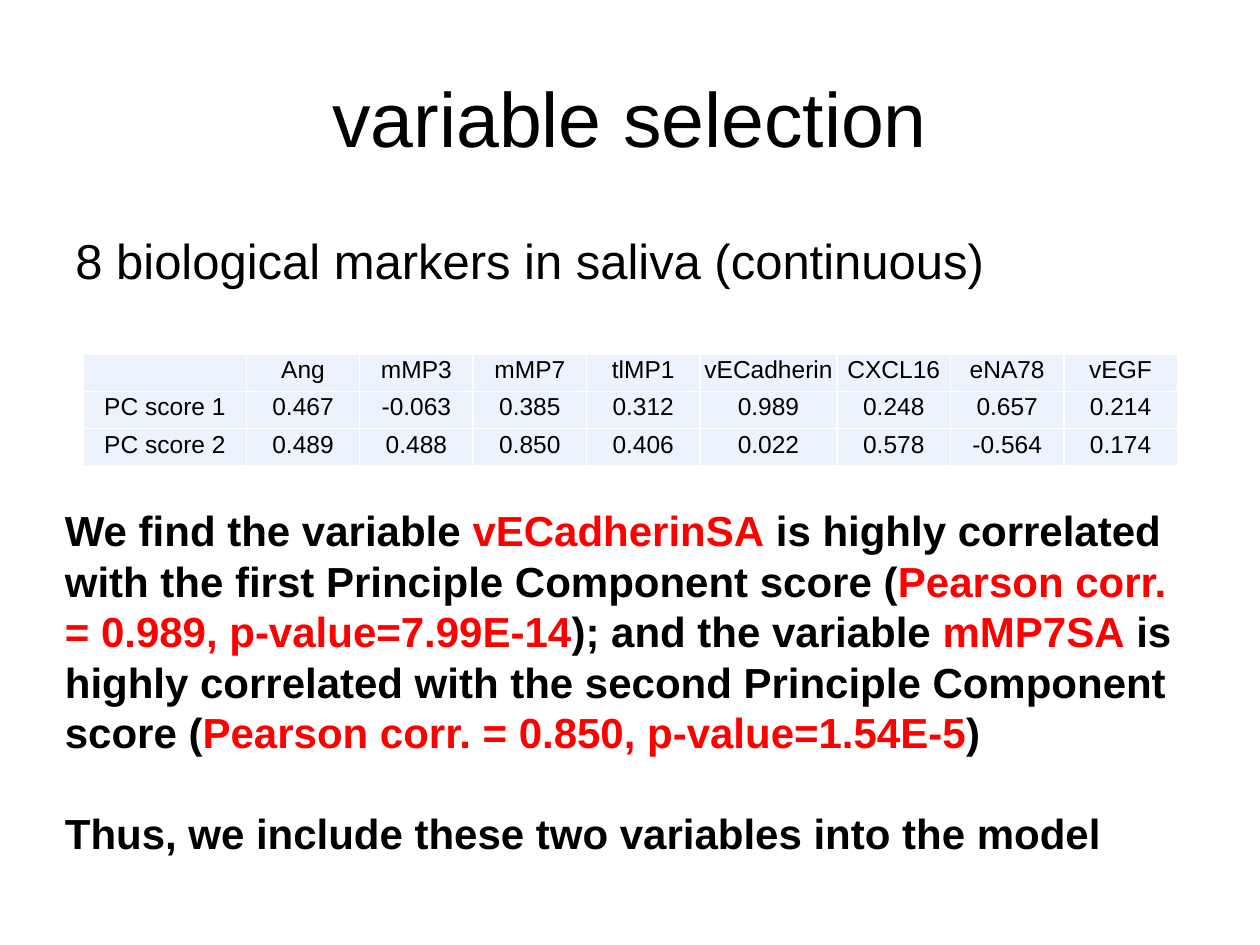
"""Build the variable selection slide with its table of marker correlations."""
from dataclasses import dataclass

from lxml import etree
from pptx import Presentation
from pptx import util as u
from pptx.dml.color import RGBColor
from pptx.enum import text
from pptx.oxml.ns import qn


@dataclass(frozen=True)
class Theme:
    font: str = "Arial"
    ink: str = "000000"
    accent: str = "FF0000"
    cell: str = "ECF3FC"
    border: str = "FFFFFF"
    title: int = 44
    body: int = 28
    finding: int = 24
    table: int = 14


class Deck:
    def __init__(self, prs, theme):
        self.theme = theme
        self.s = prs.slides.add_slide(prs.slide_layouts[6])

    def run(self, p, words, size, color=None, bold=False):
        r = p.add_run()
        r.text = words
        fmt = {"name": self.theme.font, "size": u.Pt(size), "bold": bold}
        for key, value in fmt.items():
            setattr(r.font, key, value)
        r.font.color.rgb = RGBColor.from_string(color or self.theme.ink)

    def textbox(self, box, paragraphs, size, bold=False, gap=0, align=text.PP_ALIGN.LEFT, **frame):
        tf = self.s.shapes.add_textbox(*map(u.Pt, box)).text_frame
        for key, value in {"word_wrap": True, **frame}.items():
            setattr(tf, key, value)
        for i, parts in enumerate(paragraphs):
            p = tf.add_paragraph() if i else tf.paragraphs[0]
            p.alignment = align
            if i:
                p.space_before = u.Pt(gap)
            for words, color in parts:
                self.run(p, words, size, color, bold)

    def borders(self, cell):
        pr = cell._tc.get_or_add_tcPr()
        for i, side in enumerate(("a:lnL", "a:lnR", "a:lnT", "a:lnB")):
            ln = etree.Element(qn(side), w=str(u.Pt(1)))
            fill = etree.SubElement(ln, qn("a:solidFill"))
            etree.SubElement(fill, qn("a:srgbClr"), val=self.theme.border)
            pr.insert(i, ln)

    def cell(self, cell, words):
        fmt = {"margin_left": u.Pt(0.7), "margin_right": u.Pt(0.7), "margin_top": u.Pt(0.7),
               "margin_bottom": u.Pt(3.6), "vertical_anchor": text.MSO_ANCHOR.MIDDLE}
        for key, value in fmt.items():
            setattr(cell, key, value)
        cell.fill.solid()
        cell.fill.fore_color.rgb = RGBColor.from_string(self.theme.cell)
        self.borders(cell)
        p = cell.text_frame.paragraphs[0]
        p.alignment = text.PP_ALIGN.CENTER
        if words:
            self.run(p, words, self.theme.table)
        else:
            etree.SubElement(p._p, qn("a:endParaRPr"), sz=str(self.theme.table * 100))

    def table(self, left, top, widths, row_height, rows):
        size = map(u.Pt, (left, top, sum(widths), row_height * len(rows)))
        tbl = self.s.shapes.add_table(len(rows), len(widths), *size).table
        for col, width in zip(tbl.columns, widths):
            col.width = u.Pt(width)
        for i, row in enumerate(rows):
            tbl.rows[i].height = u.Pt(row_height)
            for j, words in enumerate(row):
                self.cell(tbl.cell(i, j), words)


def main():
    prs = Presentation()
    prs.slide_width, prs.slide_height = u.Pt(720), u.Pt(540)
    theme = Theme()
    deck = Deck(prs, theme)
    ink, accent = theme.ink, theme.accent

    deck.textbox((36, 21.6, 648, 90), [[("variable selection", ink)]], theme.title,
                 align=text.PP_ALIGN.CENTER, vertical_anchor=text.MSO_ANCHOR.MIDDLE)
    deck.textbox((36, 126, 648, 64.8), [[("8 biological markers in saliva (continuous)", ink)]],
                 theme.body, margin_top=u.Pt(6))
    finding = [
        ("We find the variable ", ink),
        ("vECadherinSA", accent),
        (" is highly correlated with the first Principle Component score (", ink),
        ("Pearson corr. = 0.989, p-value=7.99E-14", accent),
        ("); and the variable ", ink),
        ("mMP7SA", accent),
        (" is highly correlated with the second Principle Component score (", ink),
        ("Pearson corr. = 0.850, p-value=1.54E-5", accent),
        (")", ink),
    ]
    conclusion = [("Thus, we include these two variables into the model", ink)]
    deck.textbox((30, 285, 660, 211), [finding, conclusion], theme.finding, bold=True, gap=28.8,
                 auto_size=text.MSO_AUTO_SIZE.SHAPE_TO_FIT_TEXT)

    rows = [
        ["", "Ang", "mMP3", "mMP7", "tlMP1", "vECadherin", "CXCL16", "eNA78", "vEGF"],
        ["PC score 1", "0.467", "-0.063", "0.385", "0.312", "0.989", "0.248", "0.657", "0.214"],
        ["PC score 2", "0.489", "0.488", "0.850", "0.406", "0.022", "0.578", "-0.564", "0.174"],
    ]
    widths = [93] + [64.8] * 4 + [78.4] + [64.8] * 3
    deck.table(47.8, 202.5, widths, 21.2, rows)
    prs.save("out.pptx")


if __name__ == "__main__":
    main()
